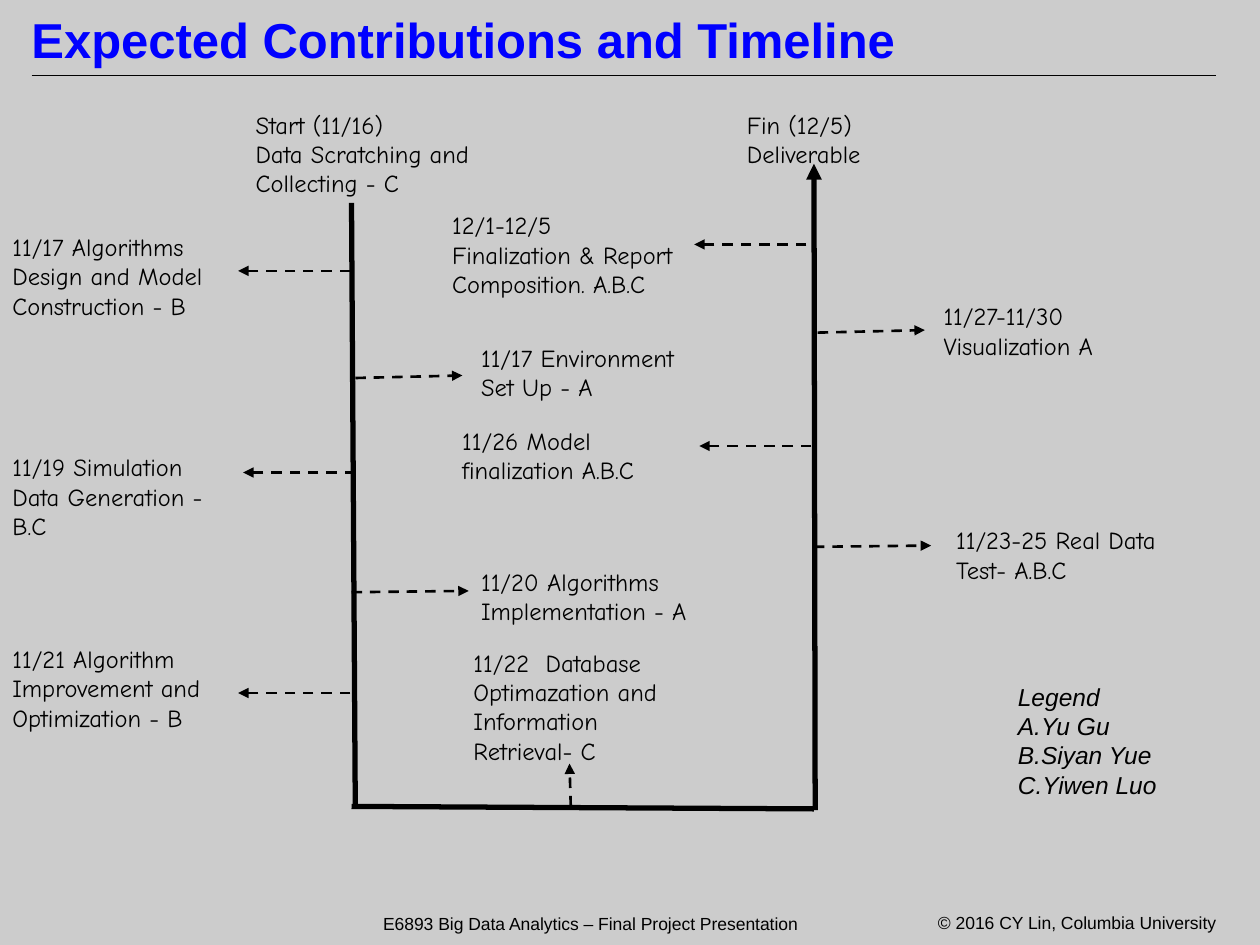
from dataclasses import dataclass

from lxml import etree
from pptx import Presentation
from pptx import util as u
from pptx.dml.color import RGBColor
from pptx.enum import dml, shapes, text
from pptx.oxml.ns import qn


@dataclass(frozen=True)
class Theme:
    background = RGBColor(0xCC, 0xCC, 0xCC)
    ink = RGBColor(0, 0, 0)
    title = RGBColor(0, 0, 0xFF)
    sans = "Arial"
    hand = "Comic Neue"
    title_size = 28
    body_size = 14
    footer_size = 10
    rule = 0.75
    branch = 1.5
    trunk = 3


theme = Theme()
prs = Presentation()
prs.slide_width, prs.slide_height = u.Inches(10), u.Inches(7.5)
s = prs.slides.add_slide(prs.slide_layouts[6])
s.background.fill.solid()
s.background.fill.fore_color.rgb = theme.background


def add_text(x, y, w, h, lines, font=theme.hand, size=theme.body_size,
             color=theme.ink, inset=0.1, align=text.PP_ALIGN.LEFT):
    tf = s.shapes.add_textbox(*map(u.Inches, (x, y, w, h))).text_frame
    tf.word_wrap = True
    tf.margin_left = tf.margin_right = u.Inches(inset)
    tf.margin_top = tf.margin_bottom = u.Inches(inset)
    tf.text = "\n".join(lines)
    for p in tf.paragraphs:
        p.alignment = align
        p.font.name, p.font.size = font, u.Pt(size)
        p.font.color.rgb = color
    return tf


def add_line(x1, y1, x2, y2, width, dashed=False, arrow=False):
    c = s.shapes.add_connector(shapes.MSO_CONNECTOR.STRAIGHT,
                               *map(u.Inches, (x1, y1, x2, y2)))
    c.line.color.rgb = theme.ink
    c.line.width = u.Pt(width)
    if dashed:
        c.line.dash_style = dml.MSO_LINE.DASH
    if arrow:
        etree.SubElement(c.line._get_or_add_ln(), qn("a:tailEnd"), type="triangle")
    etree.SubElement(c._element.spPr, qn("a:effectLst"))


# Title, rule and footer
add_line(0.25, 0.6, 9.65, 0.6, theme.rule)
add_text(6.82, 7.19, 2.88, 0.27, ["© 2016 CY Lin, Columbia University"],
         theme.sans, theme.footer_size, inset=0.05, align=text.PP_ALIGN.RIGHT)
add_text(2.99, 7.2, 3.43, 0.27,
         ["E6893 Big Data Analytics – Final Project Presentation"],
         theme.sans, theme.footer_size, inset=0.05)
p = add_text(0.2, 0.08, 9.36, 0.76, ["Expected Contributions and Timeline"],
             theme.sans, theme.title_size, theme.title, inset=0.05).paragraphs[0]
p.font.bold = True
p.line_spacing = 0.9

# U-shaped timeline
add_line(2.79, 1.61, 2.82, 6.4, theme.trunk)
add_line(2.79, 6.4, 6.46, 6.42, theme.trunk)
add_line(6.47, 6.43, 6.46, 1.3, theme.trunk, arrow=True)

# Branches from the timeline to the milestones
branches = [
    (2.78, 2.15, 1.89, 2.15),
    (2.82, 3.75, 1.93, 3.75),
    (2.78, 5.5, 1.89, 5.5),
    (2.82, 3, 3.67, 2.98),
    (2.79, 4.7, 3.72, 4.69),
    (4.53, 6.4, 4.52, 6.06),
    (6.49, 2.64, 7.34, 2.62),
    (6.46, 4.34, 7.39, 4.33),
    (6.4, 1.94, 5.51, 1.94),
    (6.44, 3.54, 5.55, 3.54),
]
for ends in branches:
    add_line(*ends, theme.branch, dashed=True, arrow=True)

# Milestones, in date order: left, top, lines
milestones = [
    (1.93, 0.77, ["Start (11/16)", "Data Scratching and Collecting - C"]),
    (0, 1.74, ["11/17 Algorithms Design and Model Construction - B"]),
    (3.72, 2.62, ["11/17 Environment Set Up - A"]),
    (0, 3.49, ["11/19 Simulation Data Generation - B.C"]),
    (3.72, 4.4, ["11/20 Algorithms Implementation - A"]),
    (0, 5.01, ["11/21 Algorithm Improvement and Optimization - B"]),
    (3.66, 5.04, ["11/22  Database Optimazation and Information Retrieval- C"]),
    (7.49, 4.07, ["11/23-25 Real Data Test- A.B.C"]),
    (3.57, 3.28, ["11/26 Model finalization A.B.C"]),
    (7.39, 2.29, ["11/27-11/30", "Visualization A"]),
    (3.49, 1.57, ["12/1-12/5", "Finalization & Report Composition. A.B.C"]),
    (5.83, 0.77, ["Fin (12/5)", "Deliverable"]),
]
for x, y, lines in milestones:
    add_text(x, y, 1.96, 0.68, lines)

# Legend
tf = add_text(7.98, 5.31, 1.48, 1.49,
              ["Legend", "A.Yu Gu", "B.Siyan Yue", "C.Yiwen Luo"], theme.sans)
for p in tf.paragraphs:
    p.font.italic = True

prs.save("out.pptx")
